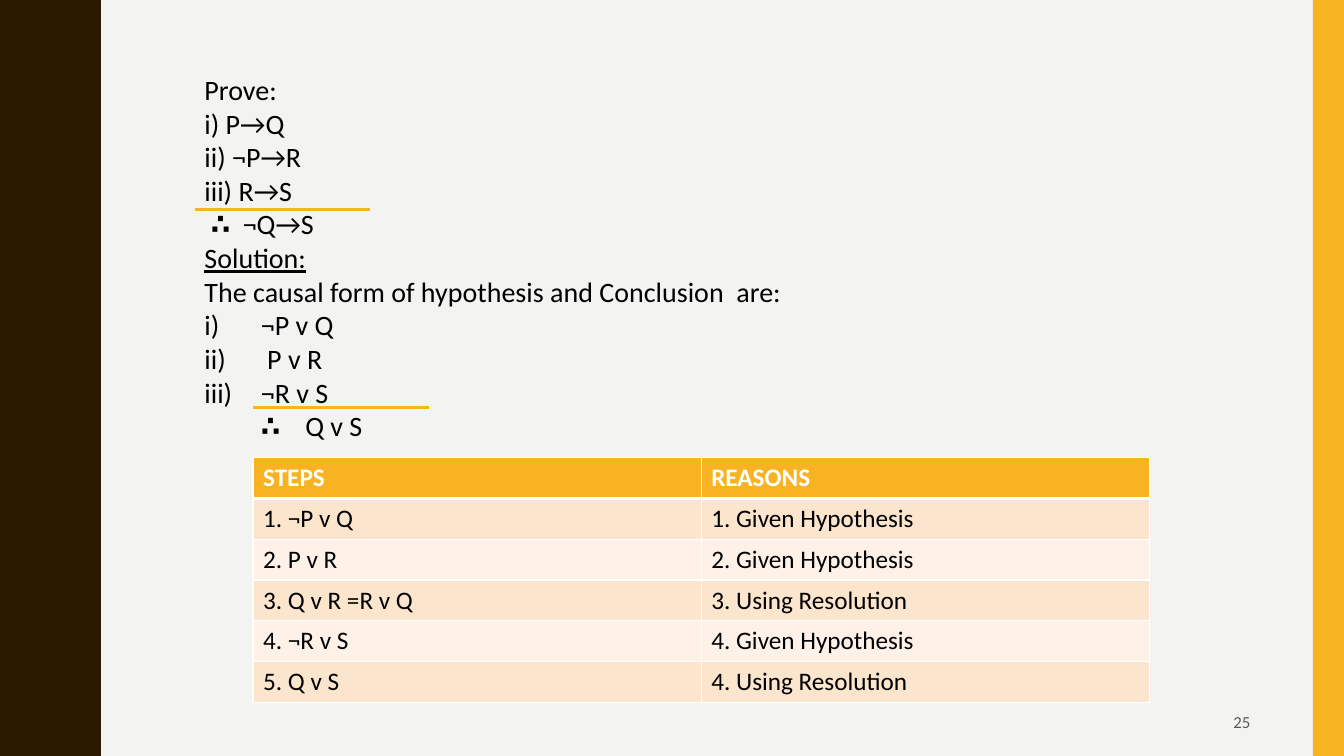
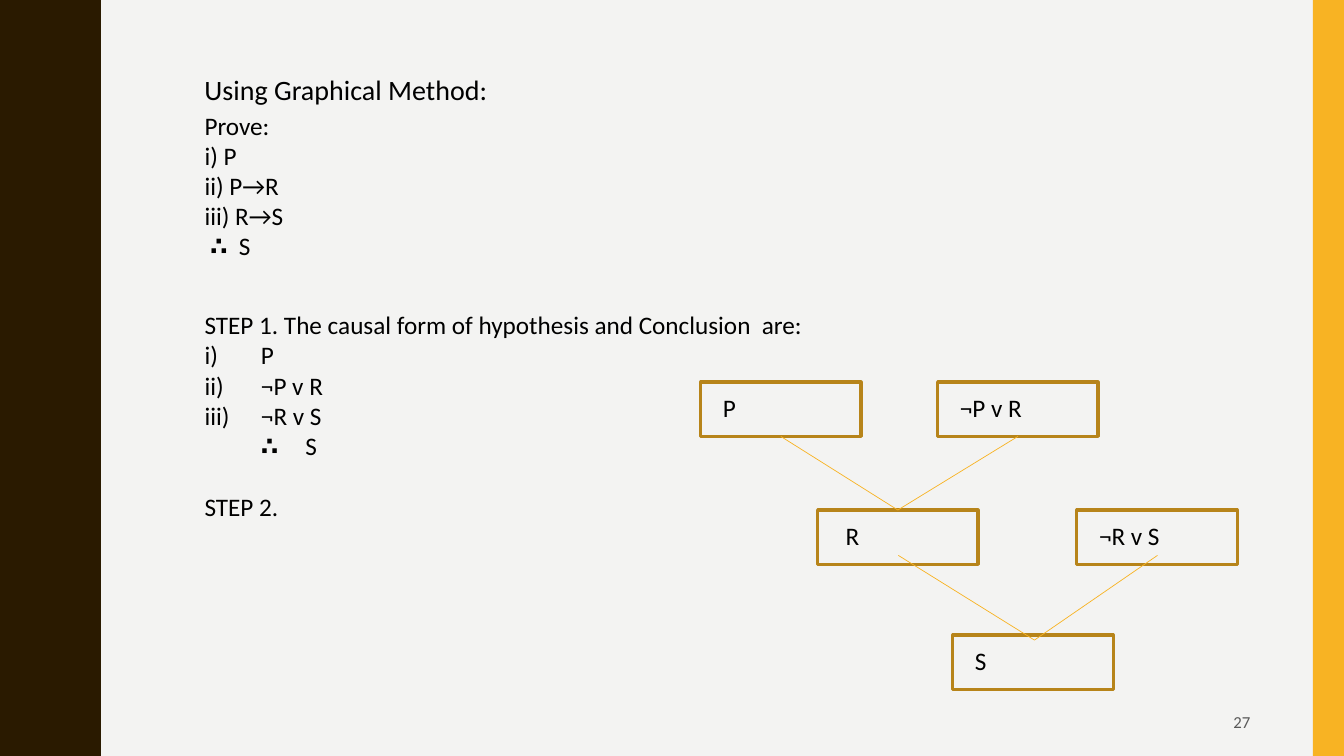
from lxml import etree
from pptx import Presentation
from pptx.dml.color import RGBColor
from pptx.enum.shapes import MSO_CONNECTOR, MSO_SHAPE
from pptx.enum.text import MSO_ANCHOR, PP_ALIGN
from pptx.oxml.ns import qn
from pptx.util import Inches, Pt

STRAIGHT = MSO_CONNECTOR.STRAIGHT
RECTANGLE = MSO_SHAPE.RECTANGLE
MIDDLE, TOP = MSO_ANCHOR.MIDDLE, MSO_ANCHOR.TOP
LEFT, RIGHT = PP_ALIGN.LEFT, PP_ALIGN.RIGHT

# Colours
PAPER = RGBColor(0xF3, 0xF3, 0xF2)
BROWN = RGBColor(0x2A, 0x1A, 0x00)
AMBER = RGBColor(0xF8, 0xB3, 0x23)
DARK_AMBER = RGBColor(0xB7, 0x84, 0x1A)
BLACK = RGBColor(0x00, 0x00, 0x00)
GREY = RGBColor(0x59, 0x59, 0x59)
WHITE = RGBColor(0xFF, 0xFF, 0xFF)
BAND_COLOURS = (RGBColor(0xFE, 0xF2, 0xE8), RGBColor(0xFC, 0xE5, 0xCD))

# Wave edge: half a period, mirrored and repeated down the slide
WAVE_PERIOD = 1.5
HALF_WAVE = [(0.78, 0), (0.78, 0.07), (0.79, 0.14), (0.8, 0.2), (0.81, 0.25),
             (0.83, 0.29), (0.85, 0.33), (0.87, 0.38), (0.89, 0.42),
             (0.91, 0.46), (0.93, 0.5), (0.95, 0.55), (0.96, 0.61),
             (0.97, 0.68), (0.97, 0.75)]
WAVE = HALF_WAVE + [(x, WAVE_PERIOD - y) for x, y in reversed(HALF_WAVE[:-1])]

TEXT_LEFT = 1.93
HANGING = 0.56
NUMBERED = {"numbered": True}
CONCLUSION = {"tabs": (HANGING, 1.0)}


class Deck:
    """The shared style and the slide being built."""

    font_name = "Calibri"

    def __init__(self):
        self.presentation = Presentation()
        self.presentation.slide_width = Inches(13.33)
        self.presentation.slide_height = Inches(7.5)
        self.slide = None

    def new_slide(self, number):
        blank = self.presentation.slide_layouts[6]
        self.slide = self.presentation.slides.add_slide(blank)
        fill = self.slide.background.fill
        fill.solid()
        fill.fore_color.rgb = PAPER
        self.wave()
        self.rectangle(13.02, 0, 0.31, 7.5, fill=AMBER)
        self.text(9.42, 6.97, 3.08, 0.38, [str(number)], size=12,
                  colour=GREY, align=RIGHT, anchor=MIDDLE)

    def wave(self):
        points = [(x, y + period * WAVE_PERIOD)
                  for period in range(5) for x, y in WAVE]
        builder = self.slide.shapes.build_freeform(0, 0, scale=Inches(1))
        builder.add_line_segments(points + [(0, 7.5)], close=True)
        self.paint(builder.convert_to_shape(), fill=BROWN)

    def paint(self, shape, fill=None, line=None):
        shape.shadow.inherit = False
        if fill is None:
            shape.fill.background()
        else:
            shape.fill.solid()
            shape.fill.fore_color.rgb = fill
        if line is None:
            shape.line.fill.background()
        else:
            shape.line.color.rgb = line
            shape.line.width = Pt(2.25)

    def rectangle(self, left, top, width, height, fill=None, line=None):
        shape = self.slide.shapes.add_shape(
            RECTANGLE, Inches(left), Inches(top), Inches(width), Inches(height))
        self.paint(shape, fill, line)
        return shape

    def style(self, font, size, colour, **formats):
        formats = {"name": self.font_name, "size": Pt(size), "bold": False, **formats}
        for name, value in formats.items():
            setattr(font, name, value)
        font.color.rgb = colour

    def fill_paragraph(self, paragraph, text, size, colour=BLACK, align=LEFT,
                       numbered=False, tabs=(), space_before=0, **formats):
        paragraph.alignment = align
        paragraph.space_before = Pt(space_before)
        properties = paragraph._p.get_or_add_pPr()
        if numbered:
            properties.set("marL", str(Inches(HANGING)))
            properties.set("indent", str(-Inches(HANGING)))
            etree.SubElement(properties, qn("a:buAutoNum"), type="romanLcParenR")
        if tabs:
            tab_list = etree.SubElement(properties, qn("a:tabLst"))
            for position in tabs:
                etree.SubElement(tab_list, qn("a:tab"),
                                 pos=str(Inches(position)), algn="l")
        # The "therefore" sign is always bold
        for part in filter(None, text.partition("∴")):
            run = paragraph.add_run()
            run.text = part
            self.style(run.font, size, colour, **{"bold": part == "∴", **formats})

    def text(self, left, top, width, height, lines, size=18, anchor=TOP, **common):
        box = self.slide.shapes.add_textbox(
            Inches(left), Inches(top), Inches(width), Inches(height))
        frame = box.text_frame
        frame.word_wrap = True
        frame.vertical_anchor = anchor
        for index, line in enumerate(lines):
            text, options = (line, {}) if isinstance(line, str) else line
            paragraph = frame.add_paragraph() if index else frame.paragraphs[0]
            self.fill_paragraph(paragraph, text, size, **common, **options)

    def clause(self, left, top, text):
        shape = self.rectangle(left, top, 1.59, 0.54, line=DARK_AMBER)
        frame = shape.text_frame
        frame.word_wrap = True
        frame.vertical_anchor = MIDDLE
        margins = {"margin_left": 0.22, "margin_top": 0, "margin_bottom": 0.04}
        for name, value in margins.items():
            setattr(frame, name, Inches(value))
        self.fill_paragraph(frame.paragraphs[0], text, 18)
        return shape

    def line(self, start, end, width=0.5):
        connector = self.slide.shapes.add_connector(
            STRAIGHT, *(Inches(value) for value in (*start, *end)))
        connector.line.color.rgb = AMBER
        connector.line.width = Pt(width)
        etree.SubElement(connector._element.spPr, qn("a:effectLst"))
        return connector

    def join(self, upper, lower):
        connector = self.line((0, 0), (1, 1))
        connector.begin_connect(upper, 2)
        connector.end_connect(lower, 0)

    def borders(self, cell, widths):
        properties = cell._tc.get_or_add_tcPr()
        for index, (side, width) in enumerate(widths.items()):
            border = etree.Element(qn("a:" + side), w=str(Pt(width)))
            fill = etree.SubElement(border, qn("a:solidFill"))
            etree.SubElement(fill, qn("a:srgbClr"), val=str(WHITE))
            properties.insert(index, border)

    def table(self, left, top, width, height, rows):
        table = self.slide.shapes.add_table(
            len(rows), len(rows[0]), Inches(left), Inches(top),
            Inches(width), Inches(height)).table
        for row_index, row in enumerate(rows):
            header = row_index == 0
            for column_index, text in enumerate(row):
                cell = table.cell(row_index, column_index)
                cell.fill.solid()
                cell.fill.fore_color.rgb = AMBER if header else BAND_COLOURS[row_index % 2]
                top_border = {"lnT": 1} if header else {}
                self.borders(cell, {"lnL": 1, "lnR": 1, **top_border,
                                    "lnB": 3 if header else 1})
                self.fill_paragraph(cell.text_frame.paragraphs[0], text, 18,
                                    WHITE if header else BLACK, bold=header)


def resolution_slide(deck):
    deck.new_slide(25)
    deck.text(TEXT_LEFT, 0.67, 11.4, 4.14, [
        "Prove:",
        "i) P→Q",
        "ii) ¬P→R",
        "iii) R→S",
        (" ∴\t¬Q→S", {"tabs": (0.38,)}),
        ("Solution:", {"underline": True}),
        "The causal form of hypothesis and Conclusion  are:",
        ("¬P v Q", NUMBERED),
        (" P v R", NUMBERED),
        ("¬R v S", NUMBERED),
        ("\t∴\tQ v S", CONCLUSION),
    ], size=20)
    # Rules above the two conclusions
    for left, top in ((1.93, 2.08), (2.51, 4.04)):
        deck.line((left, top), (left + 1.74, top), width=2.25)
    deck.table(2.51, 4.54, 8.89, 2.43, [
        ("STEPS", "REASONS"),
        ("1. ¬P v Q", "1. Given Hypothesis"),
        ("2. P v R", "2. Given Hypothesis"),
        ("3. Q v R =R v Q", "3. Using Resolution"),
        ("4. ¬R v S", "4. Given Hypothesis"),
        ("5. Q v S", "4. Using Resolution"),
    ])


def graphical_slide(deck):
    deck.new_slide(27)
    deck.text(TEXT_LEFT, 0.67, 11.4, 0.44, ["Using Graphical Method:"], size=20)
    deck.text(TEXT_LEFT, 1.04, 1.61, 1.62, [
        "Prove:",
        "i) P",
        "ii) P→R",
        "iii) R→S",
        (" ∴\tS", {"tabs": (0.34,)}),
    ])
    deck.text(TEXT_LEFT, 3.02, 6.61, 2.22, [
        "STEP 1. The causal form of hypothesis and Conclusion  are:",
        ("P", NUMBERED),
        ("¬P v R", NUMBERED),
        ("¬R v S", NUMBERED),
        ("\t∴\tS", CONCLUSION),
        ("STEP 2.", {"space_before": 22}),
    ])
    # Resolution tree
    premise = deck.clause(6.95, 3.79, "P")
    implication = deck.clause(9.3, 3.79, "¬P v R")
    resolvent = deck.clause(8.11, 5.06, " R")
    deck.clause(10.68, 5.06, "¬R v S")
    deck.clause(9.45, 6.3, "S")
    for parent in (premise, implication):
        deck.join(parent, resolvent)
    for start_x in (8.91, 11.48):
        deck.line((start_x, 5.51), (10.26, 6.35))


def main():
    deck = Deck()
    resolution_slide(deck)
    graphical_slide(deck)
    deck.presentation.save("out.pptx")


if __name__ == "__main__":
    main()
